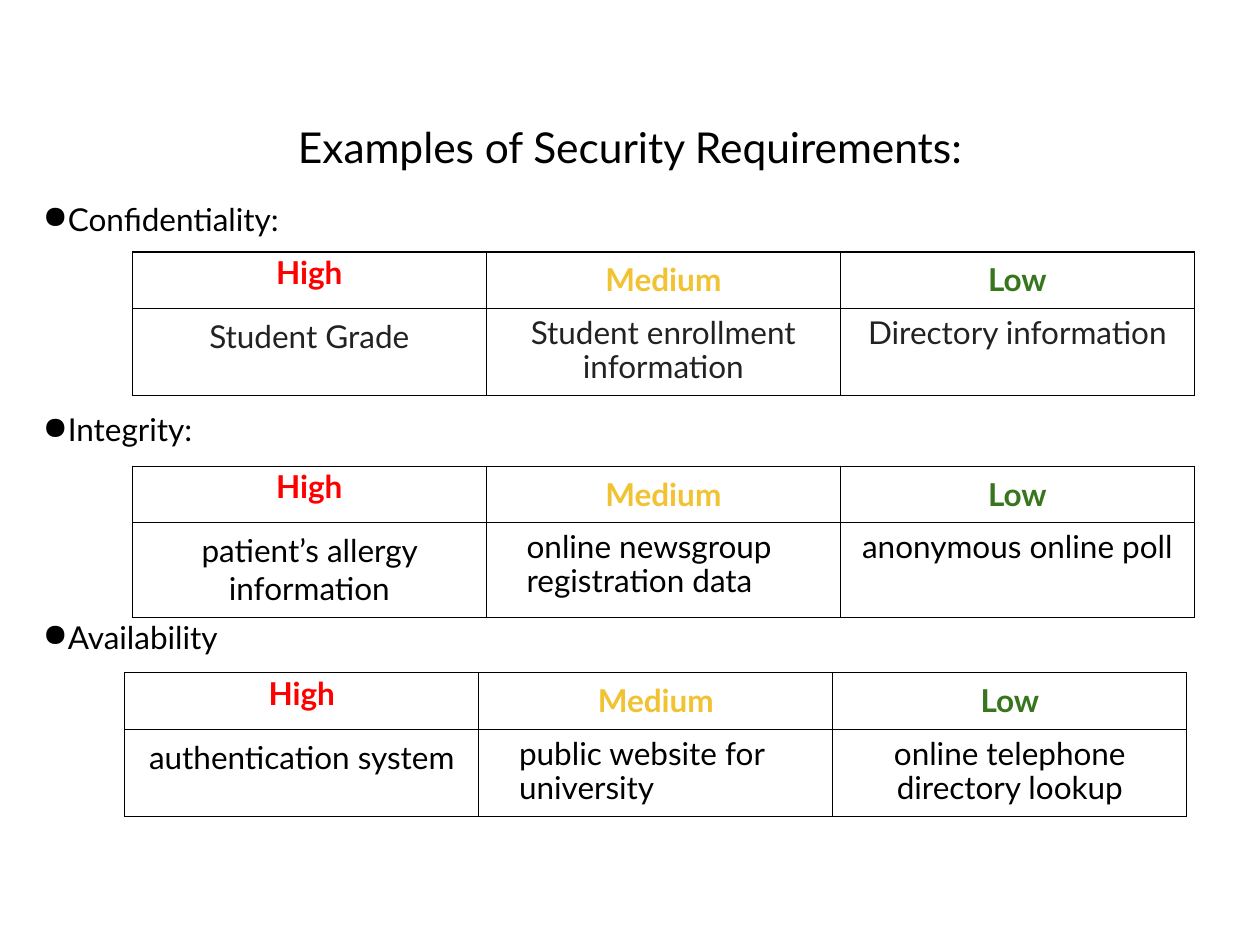
import pptx
import pptx.dml.color
import pptx.enum.text
import pptx.oxml
import pptx.oxml.ns
import pptx.util

Inches = pptx.util.Inches
Pt = pptx.util.Pt
RGBColor = pptx.dml.color.RGBColor
CENTER = pptx.enum.text.PP_ALIGN.CENTER
LEFT = pptx.enum.text.PP_ALIGN.LEFT
MIDDLE = pptx.enum.text.MSO_ANCHOR.MIDDLE
TOP = pptx.enum.text.MSO_ANCHOR.TOP

BLACK = RGBColor(0x00, 0x00, 0x00)
GRAY = RGBColor(0x22, 0x22, 0x22)
RED = RGBColor(0xFF, 0x00, 0x00)
GOLD = RGBColor(0xF1, 0xC2, 0x32)
GREEN = RGBColor(0x38, 0x76, 0x1D)

FONT = "Lato"
NAMESPACE = pptx.oxml.ns.nsdecls("a")
COLUMN_WIDTH = 2.81
HEADER_HEIGHT = 0.45
LEVELS = [("High", RED), ("Medium", GOLD), ("Low", GREEN)]

SECTIONS = [
    {"label": "Confidentiality:", "label_box": (0.25, 1.58, 9.61, 1.67),
     "table_at": (1.05, 2.0), "row_height": 0.69, "color": GRAY,
     "examples": ["Student Grade", "Student enrollment information", "Directory information"],
     "alignments": [CENTER, CENTER, CENTER]},
    {"label": "Integrity:", "label_box": (0.25, 3.25, 9.23, 1.67),
     "table_at": (1.05, 3.7), "row_height": 0.75, "color": BLACK,
     "examples": ["patient’s allergy information", "online newsgroup registration data",
                  "anonymous online poll"],
     "alignments": [CENTER, LEFT, CENTER]},
    {"label": "Availability", "label_box": (0.25, 4.9, 9.17, 1.67),
     "table_at": (0.99, 5.34), "row_height": 0.69, "color": BLACK,
     "examples": ["authentication system", "public website for university",
                  "online telephone directory lookup"],
     "alignments": [CENTER, LEFT, CENTER]},
]


def style_font(font, size, color, bold=False):
    """Set the typeface, size, colour and weight of a font."""
    font.name = FONT
    font.size = Pt(size)
    font.bold = bold
    font.color.rgb = color


def add_text(page, bounds, text, size, anchor):
    """Add a wrapped text box and return its paragraph."""
    box = page.shapes.add_textbox(*map(Inches, bounds))
    frame = box.text_frame
    frame.word_wrap = True
    frame.vertical_anchor = anchor
    frame.margin_left = frame.margin_right = Inches(0.07)
    frame.margin_top = frame.margin_bottom = Inches(0.04)
    frame.text = text
    para = frame.paragraphs[0]
    para.line_spacing = 0.9
    style_font(para.runs[0].font, size, BLACK)
    return para


def add_title(page, bounds):
    """Add the centred slide title."""
    para = add_text(page, bounds, "Examples of Security Requirements:", 24.3, MIDDLE)
    para.alignment = CENTER


def add_label(page, bounds, text):
    """Add a bulleted section label."""
    para = add_text(page, bounds, text, 18, TOP)
    properties = para._p.get_or_add_pPr()
    properties.set("marL", str(Inches(0.19)))
    properties.set("indent", str(Inches(-0.17)))
    properties.append(pptx.oxml.parse_xml(f'<a:buChar {NAMESPACE} char="●"/>'))


def fill_cell(cell, text, color, margin=0.07, alignment=CENTER, spacing=None, bold=False):
    """Write one bordered, unfilled table cell."""
    cell.margin_left = cell.margin_right = Inches(margin)
    cell.margin_top = cell.margin_bottom = Inches(margin)
    cell.text_frame.text = text
    para = cell.text_frame.paragraphs[0]
    para.alignment = alignment
    para.line_spacing = spacing
    if alignment == LEFT:
        para._p.get_or_add_pPr().set("marL", str(Inches(0.25)))
    style_font(para.runs[0].font, 18, color, bold)
    properties = cell._tc.get_or_add_tcPr()
    for side in ("lnL", "lnR", "lnT", "lnB"):
        properties.append(pptx.oxml.parse_xml(
            f'<a:{side} {NAMESPACE} w="{Pt(0.75)}"><a:solidFill>'
            f'<a:srgbClr val="{BLACK}"/></a:solidFill></a:{side}>'))
    cell.fill.background()


def add_levels_table(page, section):
    """Add the table of example data for each requirement level."""
    left, top = section["table_at"]
    heights = [HEADER_HEIGHT, section["row_height"]]
    frame = page.shapes.add_table(
        2, len(LEVELS), Inches(left), Inches(top),
        Inches(COLUMN_WIDTH * len(LEVELS)), Inches(sum(heights)))
    table = frame.table
    table.first_row = table.horz_banding = False
    for row, height in zip(table.rows, heights):
        row.height = Inches(height)
    for index, (level, color) in enumerate(LEVELS):
        table.columns[index].width = Inches(COLUMN_WIDTH)
        fill_cell(table.cell(0, index), level, color,
                  margin=0.07 if index else 0.01, bold=True)
        fill_cell(table.cell(1, index), section["examples"][index], section["color"],
                  alignment=section["alignments"][index],
                  spacing=0.9 if index else None)


def main():
    """Build the deck and save it."""
    deck = pptx.Presentation()
    deck.slide_width = Inches(10)
    deck.slide_height = Inches(7.5)
    page = deck.slides.add_slide(deck.slide_layouts[6])
    add_title(page, (0.69, 0.97, 8.62, 0.44))
    for section in SECTIONS:
        add_label(page, section["label_box"], section["label"])
        add_levels_table(page, section)
    deck.save("out.pptx")


if __name__ == "__main__":
    main()
